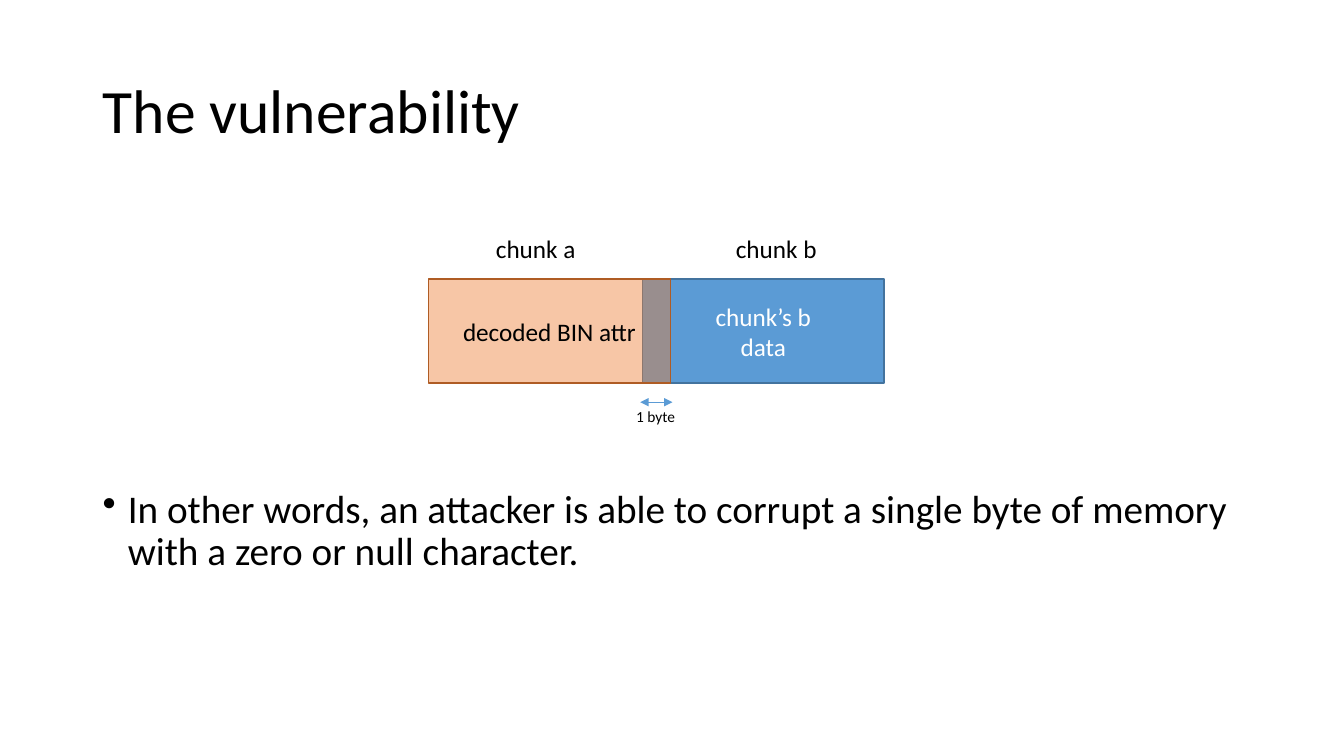
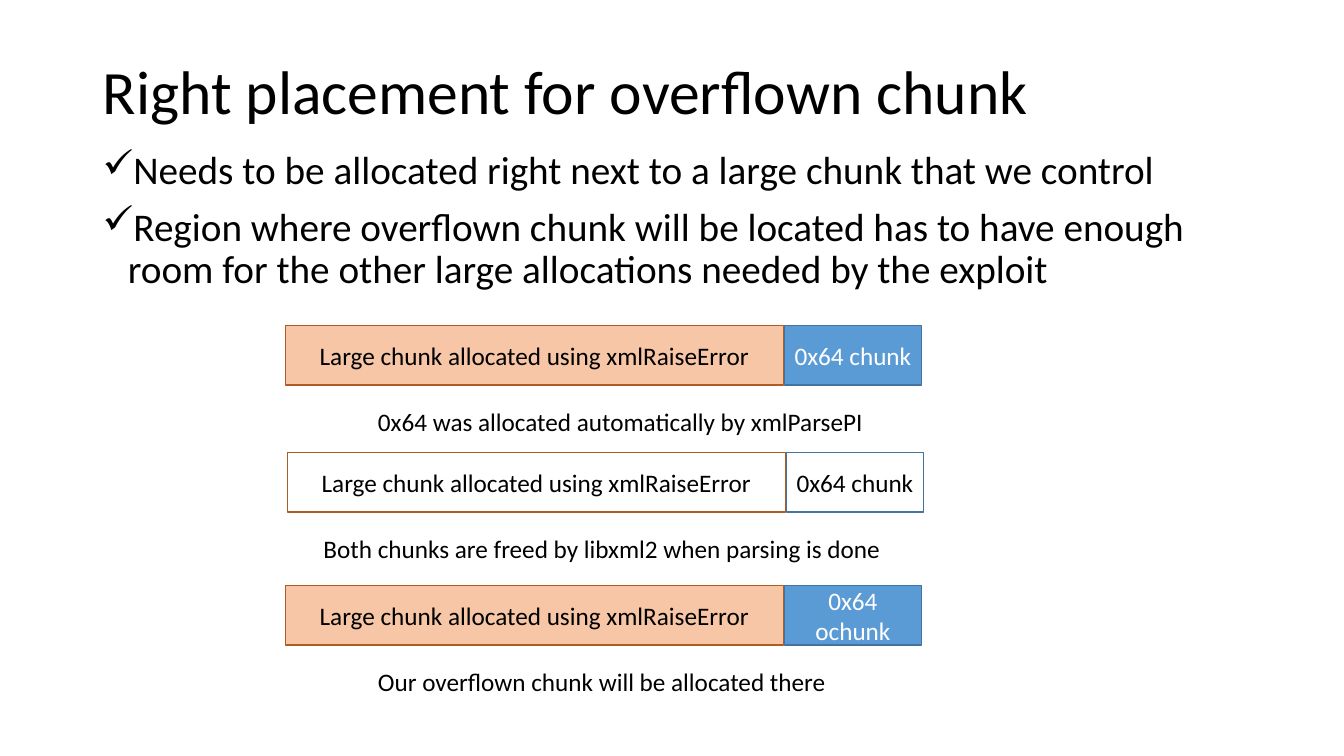
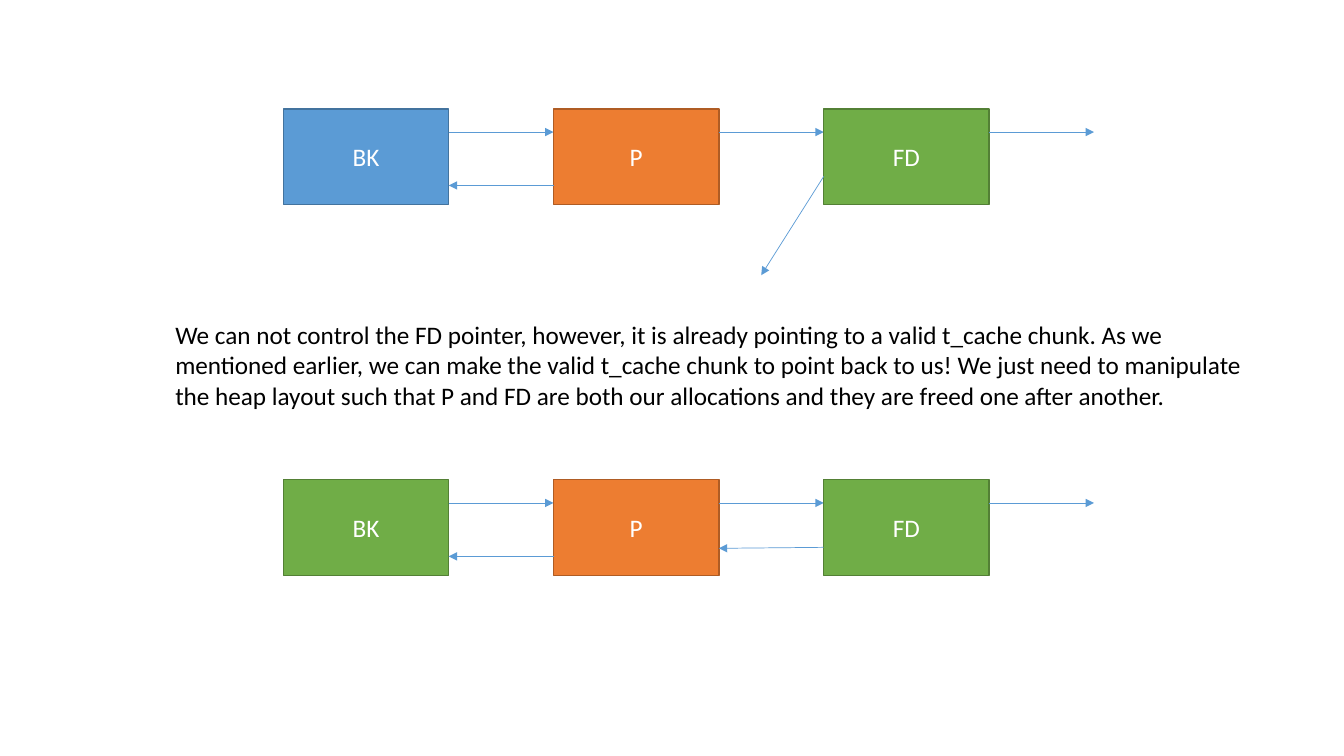
from lxml import etree
from pptx import Presentation
from pptx.dml.color import RGBColor
from pptx.enum import shapes, text
from pptx.oxml import ns
from pptx.util import Inches, Pt

FONT = "Calibri"
BLACK, WHITE = "000000", "FFFFFF"
BLUE, ORANGE, GREEN = "5B9BD5", "ED7D31", "70AD47"
OUTLINES = {BLUE: "43739E", ORANGE: "AF5C24", GREEN: "538035"}
LARGE_CHUNK = "Large chunk allocated using xmlRaiseError"


def color(value):
    return RGBColor.from_string(value)


def add_element(parent, tag, **attributes):
    return etree.SubElement(parent, ns.qn(tag), attributes)


class Deck:
    def __init__(self):
        self.presentation = Presentation()
        self.presentation.slide_width = Inches(13.33)
        self.presentation.slide_height = Inches(7.5)
        self.slide = None

    def new_slide(self, title=None, top=0.0):
        layout = self.presentation.slide_layouts[6 if title is None else 5]
        self.slide = self.presentation.slides.add_slide(layout)
        if title is None:
            return
        shape = self.slide.shapes.title
        shape.left, shape.top = Inches(0.92), Inches(top)
        shape.width, shape.height = Inches(11.5), Inches(1.45)
        shape.text_frame.vertical_anchor = text.MSO_ANCHOR.MIDDLE
        self.set_text(shape.text_frame, [title], 44, spacing=0.9)

    def set_text(self, frame, lines, size, fill=BLACK, align=text.PP_ALIGN.LEFT,
                 spacing=None, bullet=None):
        for index, line in enumerate(lines):
            paragraph = frame.add_paragraph() if index else frame.paragraphs[0]
            paragraph.text = line
            paragraph.alignment = align
            if spacing:
                paragraph.line_spacing = spacing
            if bullet:
                if index:
                    paragraph.space_before = Pt(10)
                properties = paragraph._p.get_or_add_pPr()
                properties.set("marL", str(Inches(0.25)))
                properties.set("indent", str(Inches(-0.25)))
                add_element(properties, "a:buChar", char=bullet)
            paragraph.font.name = FONT
            paragraph.font.size = Pt(size)
            paragraph.font.color.rgb = color(fill)

    def text_box(self, left, top, width, height, lines, size=18, wrap=True,
                 grow=True, **style):
        shape = self.slide.shapes.add_textbox(
            Inches(left), Inches(top), Inches(width), Inches(height))
        frame = shape.text_frame
        frame.word_wrap = wrap
        if grow:
            frame.auto_size = text.MSO_AUTO_SIZE.SHAPE_TO_FIT_TEXT
        self.set_text(frame, lines, size, **style)

    def bullets(self, top, height, lines, bullet):
        self.text_box(0.92, top, 11.5, height, lines, 28, grow=False,
                      spacing=0.9, bullet=bullet)

    def box(self, left, top, width, height, lines, kind, filled=True,
            alpha=None, font_color=WHITE):
        shape = self.slide.shapes.add_shape(
            shapes.MSO_SHAPE.RECTANGLE,
            Inches(left), Inches(top), Inches(width), Inches(height))
        shape.shadow.inherit = False
        if filled:
            shape.fill.solid()
            shape.fill.fore_color.rgb = color(kind)
        else:
            shape.fill.background()
        if filled and alpha:
            fill = shape._element.spPr.find(ns.qn("a:solidFill"))
            add_element(fill[0], "a:alpha", val=str(alpha * 1000))
        shape.line.color.rgb = color(OUTLINES[kind])
        shape.line.width = Pt(1)
        shape.text_frame.vertical_anchor = text.MSO_ANCHOR.MIDDLE
        self.set_text(shape.text_frame, lines, 18, font_color,
                      text.PP_ALIGN.CENTER)

    def arrow(self, start_x, start_y, end_x, end_y, both=False):
        connector = self.slide.shapes.add_connector(
            shapes.MSO_CONNECTOR.STRAIGHT, Inches(start_x), Inches(start_y),
            Inches(end_x), Inches(end_y))
        connector.line.color.rgb = color(BLUE)
        connector.line.width = Pt(0.5)
        properties = connector._element.spPr
        line = properties.find(ns.qn("a:ln"))
        if both:
            add_element(line, "a:headEnd", type="triangle")
        add_element(line, "a:tailEnd", type="triangle")
        add_element(properties, "a:effectLst")

    def chunk_pair(self, left, top, small_label, filled=True):
        large_width = 4.94
        self.box(left + large_width + 0.01, top, 1.36, 0.59, [small_label], BLUE,
                 filled, font_color=WHITE if filled else BLACK)
        self.box(left, top, large_width, 0.59, [LARGE_CHUNK], ORANGE, filled,
                 alpha=43, font_color=BLACK)

    def linked_list(self, top, first_kind, back_link):
        left, width, gap = 2.81, 1.64, 1.04
        nodes = [("BK", first_kind), ("P", ORANGE), ("FD", GREEN)]
        for index, (label, kind) in enumerate(nodes):
            node_left = left + index * (width + gap)
            node_right = node_left + width
            self.box(node_left, top, width, 0.95, [label], kind)
            self.arrow(node_right, top + 0.23, node_right + gap, top + 0.23)
        first_right = left + width
        self.arrow(first_right + gap, top + 0.76, first_right, top + 0.76)
        last_left = left + 2 * (width + gap)
        across, down = back_link
        self.arrow(last_left, top + 0.67, last_left - across, top + 0.67 + down)


def vulnerability(deck):
    deck.new_slide("The vulnerability", 0.4)
    deck.bullets(4.81, 0.97, [
        "In other words, an attacker is able to corrupt a single byte of memory "
        "with a zero or null character."], "•")
    deck.box(6.37, 2.77, 2.4, 1.03, ["chunk’s b", "data"], BLUE)
    deck.box(4.25, 2.77, 2.4, 1.03, ["decoded BIN attr"], ORANGE, alpha=43,
             font_color=BLACK)
    deck.arrow(6.35, 3.99, 6.67, 3.99, both=True)
    deck.text_box(6.21, 3.99, 0.59, 0.29, ["1 byte"], 11, wrap=False)
    for left, label in ((4.82, "chunk a"), (7.2, "chunk b")):
        deck.text_box(left, 2.27, 1, 0.4, [label], wrap=False)


def placement(deck):
    deck.new_slide("Right placement for overflown chunk", 0.21)
    deck.bullets(1.45, 4.76, [
        "Needs to be allocated right next to a large chunk that we control",
        "Region where overflown chunk will be located has to have enough room "
        "for the other large allocations needed by the exploit"], "✓")
    deck.chunk_pair(2.83, 3.23, "0x64 chunk")
    deck.chunk_pair(2.85, 4.49, "0x64 chunk", filled=False)
    deck.chunk_pair(2.83, 5.81, "0x64 ochunk")
    captions = [
        (3.65, 3.98, 5.12, "0x64 was allocated automatically by xmlParsePI"),
        (3.11, 5.24, 5.74, "Both chunks are freed by libxml2 when parsing is done"),
        (3.65, 6.56, 4.73, "Our overflown chunk will be allocated there")]
    for left, top, width, caption in captions:
        deck.text_box(left, top, width, 0.4, [caption])


def pointers(deck):
    deck.new_slide()
    deck.linked_list(1.08, BLUE, (0.62, 0.98))
    deck.text_box(1.64, 3.12, 11, 1.01, [
        "We can not control the FD pointer, however, it is already pointing to a "
        "valid t_cache chunk. As we mentioned earlier, we can make the valid "
        "t_cache chunk to point back to us! We just need to manipulate the heap "
        "layout such that P and FD are both our allocations and they are freed "
        "one after another."])
    deck.linked_list(4.76, GREEN, (1.04, 0.01))


def main():
    deck = Deck()
    for build in (vulnerability, placement, pointers):
        build(deck)
    deck.presentation.save("out.pptx")


if __name__ == "__main__":
    main()
